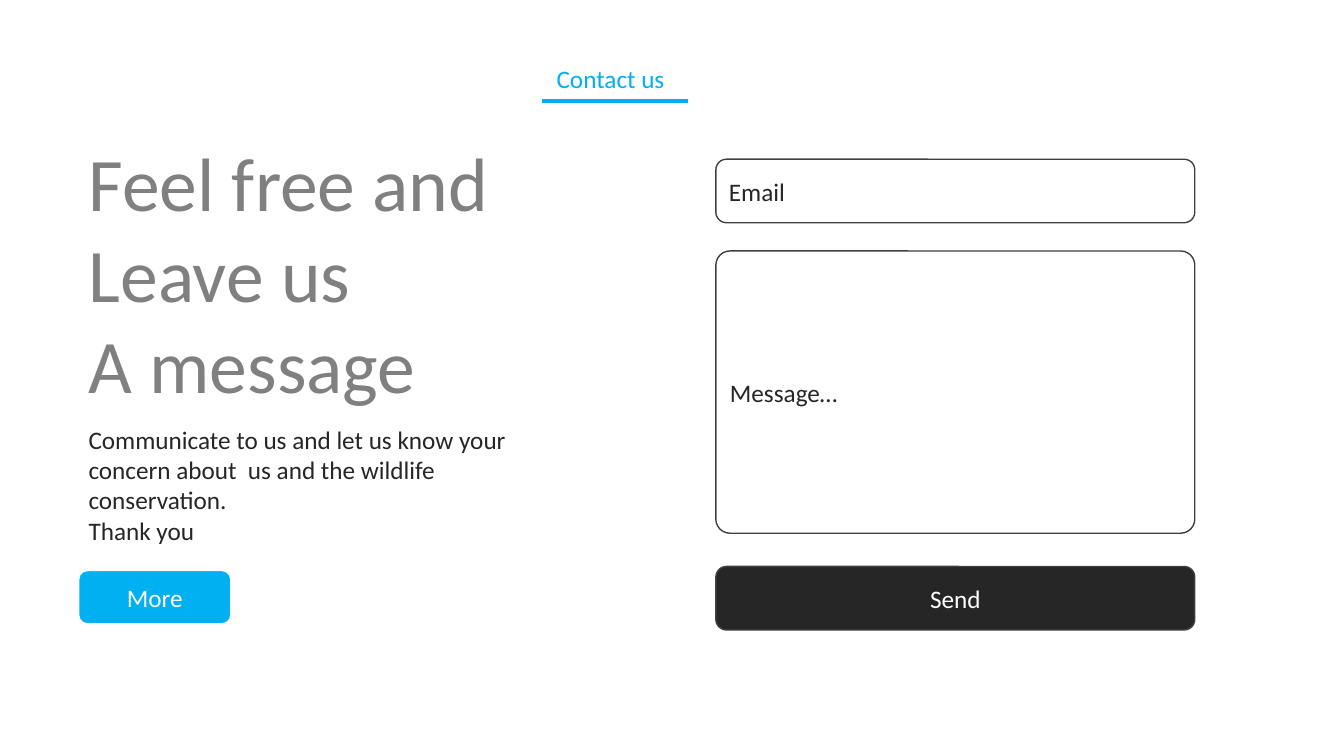
from pptx import Presentation
from pptx.dml.color import RGBColor
from pptx.enum.shapes import MSO_SHAPE
from pptx.enum.text import MSO_ANCHOR, MSO_AUTO_SIZE, PP_ALIGN
from pptx.util import Pt

EMU_PER_PX = 9144  # 100 px to the inch
FONT = "Calibri"
COLORS = {
    "accent": "00B0F0",
    "headline": "808080",
    "dark": "262626",
    "outline": "404040",
    "white": "FFFFFF",
}
LEFT_COLUMN = 78
FORM_LEFT, FORM_WIDTH, FIELD_HEIGHT = 710, 475, 63


def px(length):
    return length * EMU_PER_PX


def color(name):
    return RGBColor.from_string(COLORS[name])


def write(text_frame, lines, size, color_name, align=PP_ALIGN.LEFT,
          anchor=MSO_ANCHOR.TOP):
    """Fill the frame with one paragraph per line."""
    text_frame.word_wrap = True
    text_frame.auto_size = MSO_AUTO_SIZE.NONE
    text_frame.vertical_anchor = anchor
    for index, line in enumerate(lines):
        paragraph = text_frame.add_paragraph() if index else text_frame.paragraphs[0]
        paragraph.alignment = align
        run = paragraph.add_run()
        run.text = line
        run.font.name = FONT
        run.font.size = Pt(size)
        run.font.color.rgb = color(color_name)


def set_title(slide, left, top, width, height, lines):
    title = slide.shapes.title
    title.left, title.top = px(left), px(top)
    title.width, title.height = px(width), px(height)
    write(title.text_frame, lines, 54, "headline")


def add_text(slide, left, top, width, height, lines, color_name, align=PP_ALIGN.LEFT):
    box = slide.shapes.add_textbox(px(left), px(top), px(width), px(height))
    write(box.text_frame, lines, 18, color_name, align)


def add_block(slide, preset, left, top, width, height, fill, line):
    shape = slide.shapes.add_shape(preset, px(left), px(top), px(width), px(height))
    shape.shadow.inherit = False
    shape.fill.solid()
    shape.fill.fore_color.rgb = color(fill)
    shape.line.color.rgb = color(line)
    shape.line.width = Pt(1)
    return shape


def add_control(slide, left, top, width, height, label, fill, line, text_color,
                align=PP_ALIGN.LEFT):
    """Add a rounded form field or button."""
    control = add_block(slide, MSO_SHAPE.ROUNDED_RECTANGLE,
                        left, top, width, height, fill, line)
    write(control.text_frame, [label], 18, text_color, align, MSO_ANCHOR.MIDDLE)
    return control


def add_form(slide):
    add_control(slide, FORM_LEFT, 158, FORM_WIDTH, FIELD_HEIGHT, "Email",
                "white", "outline", "dark")
    message = add_control(slide, FORM_LEFT, 249, FORM_WIDTH, 280, "Message…",
                          "white", "outline", "dark")
    message.adjustments[0] = 0.05
    add_control(slide, FORM_LEFT, 562, FORM_WIDTH, FIELD_HEIGHT, "Send",
                "dark", "outline", "white", PP_ALIGN.CENTER)


def main():
    presentation = Presentation()
    presentation.slide_width, presentation.slide_height = px(1333), px(750)
    slide = presentation.slides.add_slide(presentation.slide_layouts[5])

    add_text(slide, 368, 58, 475, 40, ["Contact us"], "accent", PP_ALIGN.CENTER)
    add_block(slide, MSO_SHAPE.RECTANGLE, 537, 98, 146, 5, "accent", "white")
    set_title(slide, LEFT_COLUMN, 130, 520, 283,
              ["Feel free and", "Leave us", "A message"])
    add_text(slide, LEFT_COLUMN, 416, 487, 131,
             ["Communicate to us and let us know your concern about  us "
              "and the wildlife conservation.", "Thank you"], "dark")
    add_control(slide, LEFT_COLUMN, 566, 151, 53, "More",
                "accent", "white", "white", PP_ALIGN.CENTER)
    add_form(slide)

    presentation.save("out.pptx")


if __name__ == "__main__":
    main()
